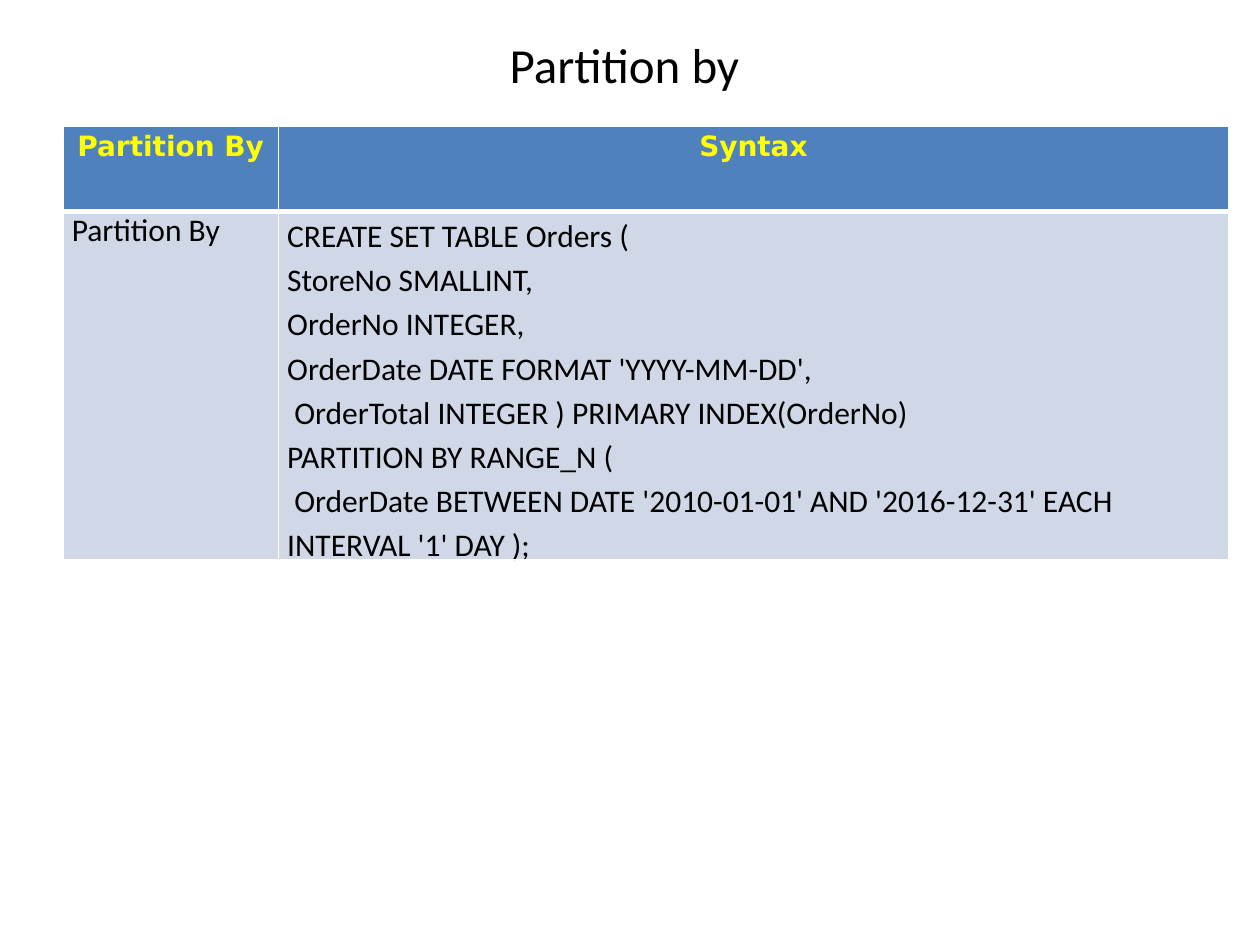
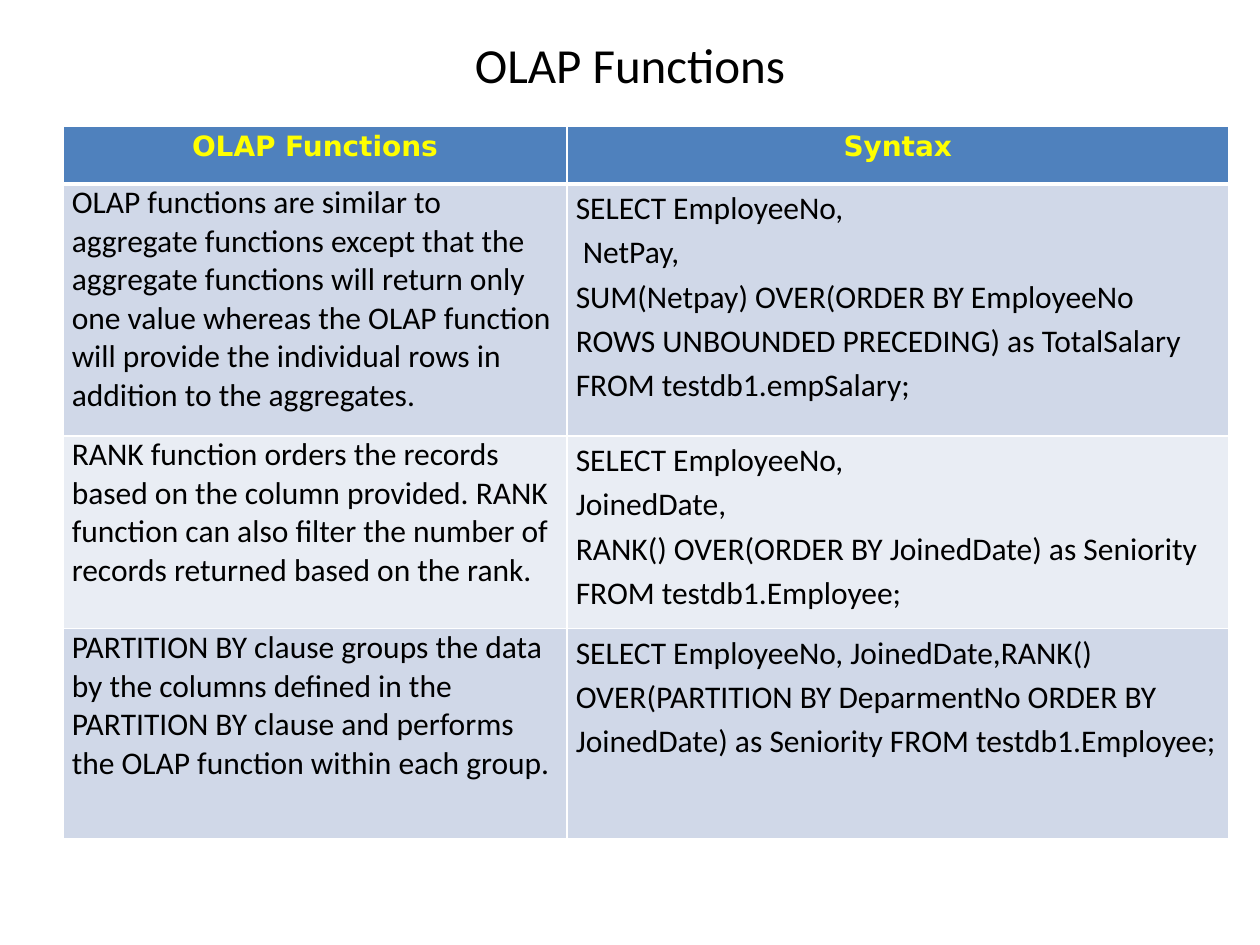
from pptx import Presentation
from pptx.dml.color import RGBColor
from pptx.enum.text import MSO_ANCHOR, PP_ALIGN
from pptx.oxml import parse_xml
from pptx.oxml.ns import nsdecls
from pptx.util import Inches, Pt

CENTER, LEFT = PP_ALIGN.CENTER, PP_ALIGN.LEFT
MIDDLE, TOP = MSO_ANCHOR.MIDDLE, MSO_ANCHOR.TOP

COLORS = {
    "ink": "000000",
    "head": "4F81BD",
    "label": "FFFF00",
    "odd": "D0D8E8",
    "even": "E9EDF4",
    "rule": "FFFFFF",
}
TITLE_BOX = (0.5, 0.17, 9, 0.67)
TABLE_BOX = (0.5, 1, 9.25)
HEAD = dict(size=16, font="DejaVu Sans", color="label", bold=True, align=CENTER, spacing=1.15)

PARTITION = [
    ["Partition By", "Syntax"],
    ["Partition By",
     "CREATE SET TABLE Orders (\n"
     "StoreNo SMALLINT,\n"
     "OrderNo INTEGER,\n"
     "OrderDate DATE FORMAT 'YYYY-MM-DD',\n"
     " OrderTotal INTEGER ) PRIMARY INDEX(OrderNo)\n"
     "PARTITION BY RANGE_N (\n"
     " OrderDate BETWEEN DATE '2010-01-01' AND '2016-12-31' EACH INTERVAL '1' DAY );"],
]
OLAP = [
    ["OLAP Functions", "Syntax"],
    ["OLAP functions are similar to aggregate functions except that the aggregate "
     "functions will return only one value whereas the OLAP function will provide "
     "the individual rows in addition to the aggregates.",
     "SELECT EmployeeNo,\n"
     " NetPay,\n"
     "SUM(Netpay) OVER(ORDER BY EmployeeNo ROWS UNBOUNDED PRECEDING) "
     "as TotalSalary FROM testdb1.empSalary;"],
    ["RANK function orders the records based on the column provided. RANK function "
     "can also filter the number of records returned based on the rank.",
     "SELECT EmployeeNo,\n"
     "JoinedDate,\n"
     "RANK() OVER(ORDER BY JoinedDate) as Seniority FROM testdb1.Employee;"],
    ["PARTITION BY clause groups the data by the columns defined in the PARTITION BY "
     "clause and performs the OLAP function within each group.",
     "SELECT EmployeeNo, JoinedDate,RANK() OVER(PARTITION BY DeparmentNo "
     "ORDER BY JoinedDate) as Seniority FROM testdb1.Employee;"],
]


def write(frame, text, size=18, font="Calibri", color="ink", bold=False,
          align=LEFT, spacing=None):
    """Fill a text frame, one paragraph for each line of text."""
    frame.word_wrap = True
    for i, line in enumerate(text.split("\n")):
        para = frame.add_paragraph() if i else frame.paragraphs[0]
        para.alignment = align
        if spacing:
            para.line_spacing = spacing
        run = para.add_run()
        run.text = line
        run.font.size = Pt(size)
        run.font.name = font
        run.font.bold = bold
        run.font.color.rgb = RGBColor.from_string(COLORS[color])


def paint(cell, color, base):
    """Give a cell its margins, borders and fill; base is the lower border in points."""
    cell.margin_left = cell.margin_right = Inches(0.07)
    cell.margin_top = cell.margin_bottom = 0
    cell.vertical_anchor = TOP
    props = cell._tc.get_or_add_tcPr()
    for side, width in (("L", 1), ("R", 1), ("T", 1), ("B", base)):
        props.append(parse_xml(
            f'<a:ln{side} {nsdecls("a")} w="{Pt(width)}"><a:solidFill>'
            f'<a:srgbClr val="{COLORS["rule"]}"/></a:solidFill></a:ln{side}>'))
    cell.fill.solid()
    cell.fill.fore_color.rgb = RGBColor.from_string(COLORS[color])


def add_title(slide, text, box):
    frame = slide.shapes.add_textbox(*map(Inches, box)).text_frame
    frame.vertical_anchor = MIDDLE
    write(frame, text, size=28, align=CENTER)


def add_grid(slide, rows, first, heights, box):
    """Draw a two-column table whose first column has the given width."""
    left, top, width = box
    table = slide.shapes.add_table(
        len(rows), 2, *map(Inches, (left, top, width, sum(heights)))).table
    for col, span in zip(table.columns, (first, width - first)):
        col.width = Inches(span)
    for r, (texts, height) in enumerate(zip(rows, heights)):
        table.rows[r].height = Inches(height)
        for c, text in enumerate(texts):
            cell = table.cell(r, c)
            if r == 0:
                paint(cell, "head", 3)
                write(cell.text_frame, text, **HEAD)
            else:
                paint(cell, "odd" if r % 2 else "even", 1)
                write(cell.text_frame, text, spacing=1.15 if c else None)


def add_page(deck, title, rows, first, heights):
    slide = deck.slides.add_slide(deck.slide_layouts[6])
    add_title(slide, title, TITLE_BOX)
    add_grid(slide, rows, first, heights, TABLE_BOX)


def main():
    deck = Presentation()
    deck.slide_width, deck.slide_height = Inches(10), Inches(7.5)
    add_page(deck, "Partition by ", PARTITION, 1.71, (0.68, 2.76))
    add_page(deck, "OLAP Functions", OLAP, 4, (0.46, 2, 1.53, 1.67))
    deck.save("out.pptx")


if __name__ == "__main__":
    main()
